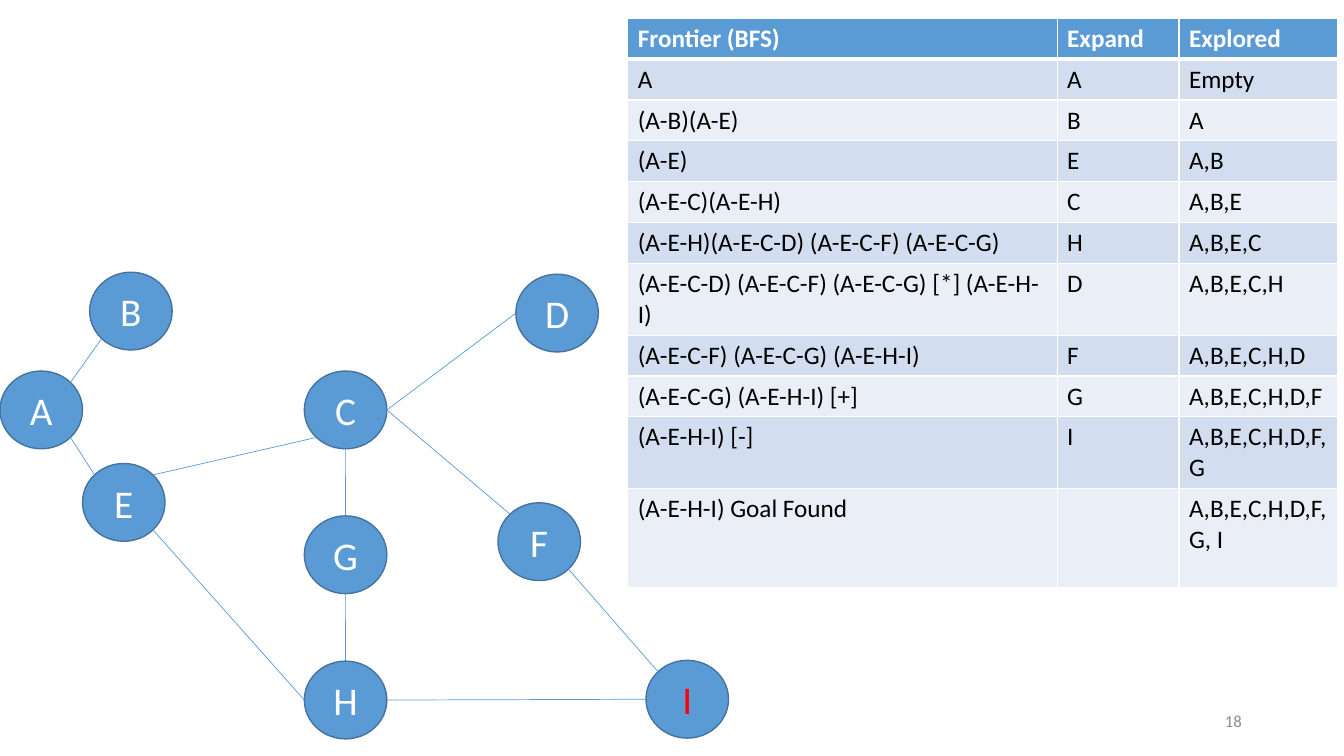
from math import cos, radians, sin

from lxml.etree import SubElement
from pptx import Presentation
from pptx.dml.color import RGBColor
from pptx.enum.shapes import MSO_CONNECTOR, MSO_SHAPE
from pptx.enum.text import MSO_ANCHOR, PP_ALIGN
from pptx.oxml.ns import qn
from pptx.util import Cm, Pt

FONT = "Calibri"
COLORS = {
    "blue": "5B9BD5", "rim": "43739E", "white": "FFFFFF", "black": "000000",
    "goal": "FF0000", "gray": "8C8C8C", "odd": "D2DEEF", "even": "EAEFF7",
}

# Left and top of each node, in cm
NODE_W, NODE_H = 2.08, 1.96
NODES = {
    "A": (0, 9.35), "B": (2.26, 6.86), "E": (2.08, 11.68),
    "C": (7.67, 9.35), "G": (7.67, 13), "F": (12.55, 12.67),
    "I": (16.28, 16.64), "H": (7.67, 16.66), "D": (13, 6.91),
}
# Start node and rim side, end node and rim side
EDGES = [
    ("B", "SW", "A", "NE"), ("A", "SE", "E", "NW"),
    ("E", "NE", "C", "SW"), ("C", "S", "G", "N"),
    ("G", "S", "H", "N"), ("E", "SE", "H", "W"),
    ("H", "E", "I", "W"), ("C", "E", "F", "NW"),
    ("F", "SE", "I", "NW"), ("C", "E", "D", "W"),
]
SIDES = ["E", "SE", "S", "SW", "W", "NW", "N", "NE"]

STEPS = [
    ("Frontier (BFS)", "Expand", "Explored"),
    ("A", "A", "Empty"),
    ("(A-B)(A-E)", "B", "A"),
    ("(A-E)", "E", "A,B"),
    ("(A-E-C)(A-E-H)", "C", "A,B,E"),
    ("(A-E-H)(A-E-C-D) (A-E-C-F) (A-E-C-G)", "H", "A,B,E,C"),
    ("(A-E-C-D) (A-E-C-F) (A-E-C-G) [*] (A-E-H-I)", "D", "A,B,E,C,H"),
    ("(A-E-C-F) (A-E-C-G) (A-E-H-I)", "F", "A,B,E,C,H,D"),
    ("(A-E-C-G) (A-E-H-I) [+]", "G", "A,B,E,C,H,D,F"),
    ("(A-E-H-I) [-]", "I", "A,B,E,C,H,D,F,G"),
    ("(A-E-H-I) Goal Found", "", "A,B,E,C,H,D,F,G, I"),
]
COL_W = [10.82, 3.07, 3.99]
ROW_H = 0.97
TALL_ROWS = {6: 1.68, 9: 1.68, 10: 2.49}


def rgb(name):
    return RGBColor.from_string(COLORS[name])


def write(frame, text, size, color, align=PP_ALIGN.LEFT, bold=False):
    para = frame.paragraphs[0]
    para.alignment = align
    run = para.add_run()
    run.text = text
    run.font.name = FONT
    run.font.size = Pt(size)
    run.font.bold = bold
    run.font.color.rgb = rgb(color)


def add_node(slide, name):
    left, top = NODES[name]
    node = slide.shapes.add_shape(
        MSO_SHAPE.OVAL, Cm(left), Cm(top), Cm(NODE_W), Cm(NODE_H))
    node.shadow.inherit = False
    node.fill.solid()
    node.fill.fore_color.rgb = rgb("blue")
    node.line.color.rgb = rgb("rim")
    node.line.width = Pt(1)
    node.text_frame.vertical_anchor = MSO_ANCHOR.MIDDLE
    color = "goal" if name == "I" else "white"
    write(node.text_frame, name, 28, color, PP_ALIGN.CENTER)


def rim_point(name, side):
    """Return the point where an edge meets the ellipse of a node."""
    left, top = NODES[name]
    angle = radians(45 * SIDES.index(side))
    return (Cm(left + NODE_W / 2 * (1 + cos(angle))),
            Cm(top + NODE_H / 2 * (1 + sin(angle))))


def add_edge(slide, start, exit_side, end, entry_side):
    edge = slide.shapes.add_connector(
        MSO_CONNECTOR.STRAIGHT,
        *rim_point(start, exit_side), *rim_point(end, entry_side))
    edge.line.color.rgb = rgb("blue")
    edge.line.width = Pt(0.5)
    SubElement(edge._element.spPr, qn("a:effectLst"))


def add_borders(cell, header):
    props = cell._tc.get_or_add_tcPr()
    for side in ("L", "R", "T", "B"):
        width = 3 if header and side == "B" else 1
        line = SubElement(props, qn(f"a:ln{side}"), w=str(Pt(width)))
        fill = SubElement(line, qn("a:solidFill"))
        SubElement(fill, qn("a:srgbClr"), val=COLORS["white"])


def add_steps(slide):
    table = slide.shapes.add_table(
        len(STEPS), len(COL_W), Cm(15.82), Cm(0.46),
        Cm(sum(COL_W)), Cm(ROW_H * len(STEPS))).table
    for col, width in zip(table.columns, COL_W):
        col.width = Cm(width)
    for r, step in enumerate(STEPS):
        table.rows[r].height = Cm(TALL_ROWS.get(r, ROW_H))
        header = r == 0
        band = "blue" if header else "odd" if r % 2 else "even"
        for c, text in enumerate(step):
            cell = table.cell(r, c)
            add_borders(cell, header)
            cell.fill.solid()
            cell.fill.fore_color.rgb = rgb(band)
            if text:
                color = "white" if header else "black"
                write(cell.text_frame, text, 18, color, bold=header)


def add_number(slide):
    box = slide.shapes.add_textbox(Cm(23.93), Cm(17.65), Cm(7.62), Cm(1.02))
    box.text_frame.word_wrap = True
    box.text_frame.vertical_anchor = MSO_ANCHOR.MIDDLE
    write(box.text_frame, "18", 12, "gray", PP_ALIGN.RIGHT)


def main():
    deck = Presentation()
    deck.slide_width, deck.slide_height = Cm(33.87), Cm(19.05)
    slide = deck.slides.add_slide(deck.slide_layouts[6])
    for name in NODES:
        add_node(slide, name)
    for edge in EDGES:
        add_edge(slide, *edge)
    add_steps(slide)
    add_number(slide)
    deck.save("out.pptx")


if __name__ == "__main__":
    main()
